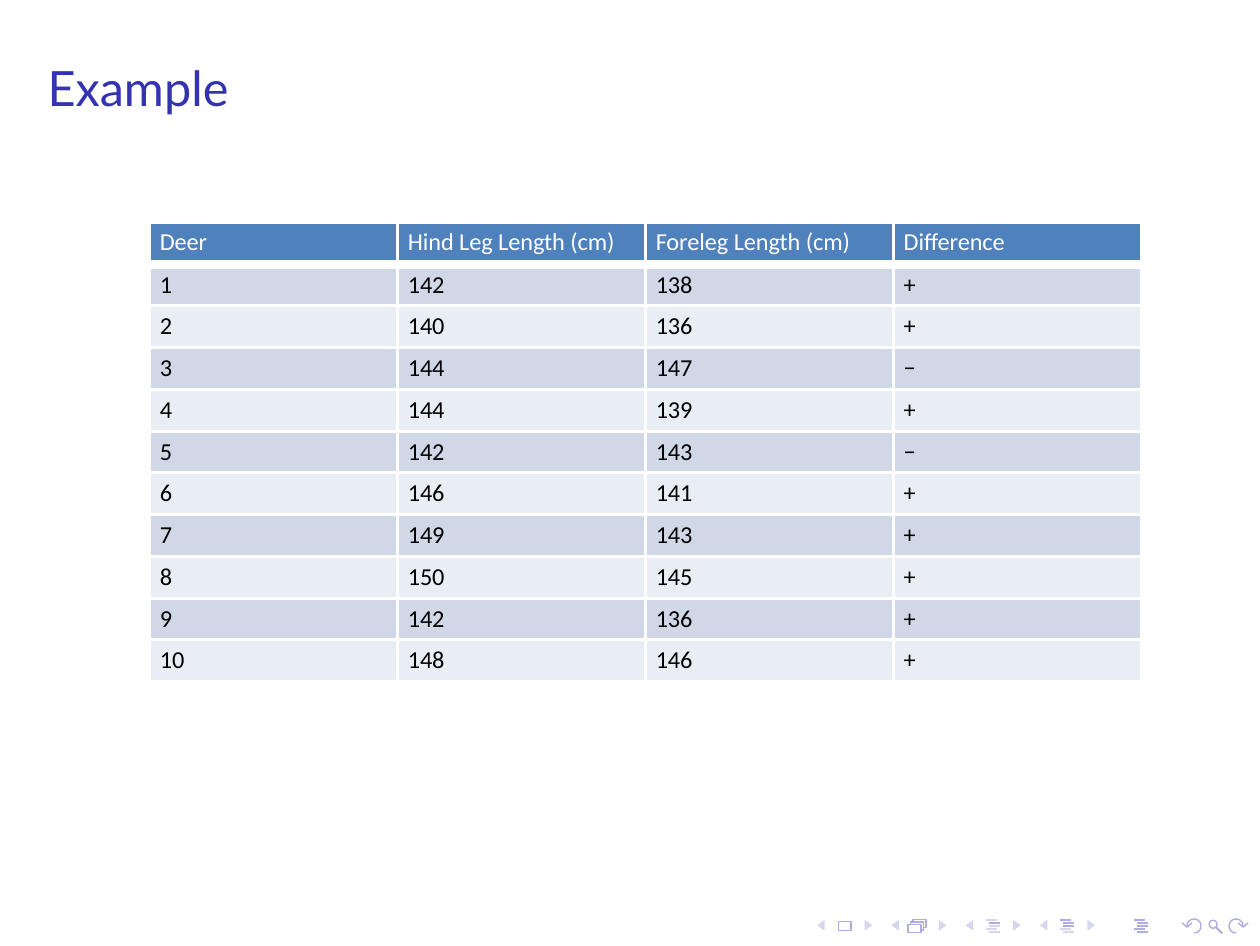
"""Build the deer leg length example slide."""
import math

import lxml.etree
import pptx
import pptx.dml.color
import pptx.enum.shapes
import pptx.enum.text
import pptx.oxml.ns
import pptx.util

Inches = pptx.util.Inches
Pt = pptx.util.Pt
qn = pptx.oxml.ns.qn

COLORS = {
    "title": "3333B2",
    "head": "4F81BD",
    "odd": "D0D8E8",
    "even": "E9EDF4",
    "white": "FFFFFF",
    "black": "000000",
    "dark": "ADADE0",
    "light": "D6D6EF",
}
HEAD = ["Deer", "Hind Leg Length (cm)", "Foreleg Length (cm)", "Difference"]
HIND = [142, 140, 144, 144, 142, 146, 149, 150, 142, 148]
FORE = [138, 136, 147, 139, 143, 141, 143, 145, 136, 146]


def color(name):
    """Return the named colour."""
    return pptx.dml.color.RGBColor.from_string(COLORS[name])


def style(par, font, size, name):
    """Set the font of a paragraph."""
    par.font.name = font
    par.font.size = Pt(size)
    par.font.bold = False
    par.font.color.rgb = color(name)


def add_title(slide, box, text):
    """Place the slide title in its box."""
    title = slide.shapes.title
    title.left, title.top, title.width, title.height = map(Inches, box)
    frame = title.text_frame
    frame.margin_left = frame.margin_right = 0
    frame.margin_top = frame.margin_bottom = 0
    frame.auto_size = pptx.enum.text.MSO_AUTO_SIZE.SHAPE_TO_FIT_TEXT
    frame.vertical_anchor = pptx.enum.text.MSO_ANCHOR.TOP
    frame.text = text
    par = frame.paragraphs[0]
    par.alignment = pptx.enum.text.PP_ALIGN.LEFT
    style(par, "Lato", 14, "title")


def edge_cell(cell, base):
    """Give a cell white borders, with its own width at the base."""
    props = cell._tc.get_or_add_tcPr()
    for spot, (side, width) in enumerate(zip("LRTB", (1, 1, 1, base))):
        line = lxml.etree.Element(qn(f"a:ln{side}"), w=str(Pt(width)))
        fill = lxml.etree.SubElement(line, qn("a:solidFill"))
        lxml.etree.SubElement(fill, qn("a:srgbClr"), val=COLORS["white"])
        props.insert(spot, line)


def add_table(slide, box):
    """Place the table of leg lengths in its box."""
    rows = [HEAD]
    for deer, (hind, fore) in enumerate(zip(HIND, FORE), 1):
        rows.append([deer, hind, fore, "+" if hind > fore else "−"])
    shape = slide.shapes.add_table(len(rows), len(HEAD), *map(Inches, box))
    table = shape.table
    for row, values in enumerate(rows):
        table.rows[row].height = Inches(box[3] / len(rows))
        for col, value in enumerate(values):
            cell = table.cell(row, col)
            cell.text = str(value)
            cell.margin_left = cell.margin_right = Inches(0.04)
            cell.margin_top = cell.margin_bottom = Inches(0.02)
            cell.fill.solid()
            par = cell.text_frame.paragraphs[0]
            if row == 0:
                cell.fill.fore_color.rgb = color("head")
                style(par, "Calibri", 7, "white")
            else:
                cell.fill.fore_color.rgb = color("odd" if row % 2 else "even")
                cell.vertical_anchor = pptx.enum.text.MSO_ANCHOR.MIDDLE
                style(par, "Calibri", 7, "black")
            edge_cell(cell, 1 if row else 3)


def trace(slide, box, paths, name, width=0, close=False):
    """Draw point lists in mils from the box corner, filled if width is 0."""
    build = slide.shapes.build_freeform(*paths[0][0], scale=Inches(1) / 1000)
    for spot, path in enumerate(paths):
        if spot:
            build.move_to(*path[0])
        build.add_line_segments(path[1:], close=close)
    shape = build.convert_to_shape(Inches(box[0]), Inches(box[1]))
    shape.shadow.inherit = False
    if width:
        shape.fill.background()
        shape.line.color.rgb = color(name)
        shape.line.width = Pt(width)
    else:
        shape.fill.solid()
        shape.fill.fore_color.rgb = color(name)
        shape.line.fill.background()


def add_line(slide, box, start, end):
    """Draw one straight line in mils from the box corner."""
    ends = [Inches(box[axis] + point[axis] / 1000)
            for point in (start, end) for axis in (0, 1)]
    kind = pptx.enum.shapes.MSO_CONNECTOR.STRAIGHT
    line = slide.shapes.add_connector(kind, *ends)
    line.line.color.rgb = color("dark")
    line.line.width = Pt(0.6)
    lxml.etree.SubElement(line._element.spPr, qn("a:effectLst"))


def add_bars(slide, box, left, rows, name):
    """Draw the given rows of a five-bar outline icon."""
    bars = []
    for row in rows:
        x, y = left + (0 if row in (0, 3) else 12), round(row * 12.5)
        bars.append([(x, y), (x + 44, y)])
    if len(bars) == 1:
        add_line(slide, box, *bars[0])
    else:
        trace(slide, box, bars, name, 0.6)


def arc(x, y, size, first, last):
    """List points on an arc between two angles in degrees."""
    turns = [math.radians(first + (last - first) * step / 24)
             for step in range(25)]
    return [(x + size * math.cos(turn), y + size * math.sin(turn))
            for turn in turns]


def add_nav(slide, box):
    """Place the row of navigation symbols in its box."""
    pitch = 297
    for group in range(4):
        x = group * pitch
        arrows = [[(x + 30, 0), (x, 22), (x + 30, 44)],
                  [(x + 190, 0), (x + 190, 44), (x + 220, 22)]]
        trace(slide, box, arrows, "light", close=True)
    page = [(85, 42), (135, 42), (135, 8), (85, 8)]
    trace(slide, box, [page], "dark", 0.4, True)
    x = pitch + 66
    stack = [[(x, 52), (x + 52, 52), (x + 52, 20), (x, 20), (x, 52)]]
    for step in (0, 10):
        stack.append([(x + 10 + step, 20 - step), (x + 10 + step, 10 - step),
                      (x + 62 + step, 10 - step), (x + 62 + step, 42 - step),
                      (x + 52 + step, 42 - step)])
    trace(slide, box, stack, "dark", 0.4)
    for group, dark in ((2, [1]), (3, [0, 1, 2]), (4, range(5))):
        left = group * pitch + 80
        add_bars(slide, box, left, dark, "dark")
        light = [row for row in range(5) if row not in dark]
        if light:
            add_bars(slide, box, left, light, "light")
    add_line(slide, box, (1596, 30), (1620, 54))
    trace(slide, box, [arc(1584, 18, 16, 0, 360)], "dark", 0.4, True)
    back = [arc(1508, 25, 28, 90, -180), [(1500, 12), (1480, 30), (1460, 12)]]
    mid = 1592
    ahead = [[(2 * mid - x, y) for x, y in path] for path in back]
    trace(slide, box, back + ahead, "dark", 0.4)


def main():
    """Build and save the slide."""
    deck = pptx.Presentation()
    deck.slide_width, deck.slide_height = Pt(363), Pt(272.5)
    slide = deck.slides.add_slide(deck.slide_layouts[5])
    slide.background.fill.solid()
    slide.background.fill.fore_color.rgb = color("white")
    add_nav(slide, (3.27, 3.68, 1.72, 0.06))
    add_title(slide, (0.19, 0.23, 3.97, 0.24), "Example")
    add_table(slide, (0.6, 0.89, 3.97, 1.84))
    deck.save("out.pptx")


if __name__ == "__main__":
    main()
